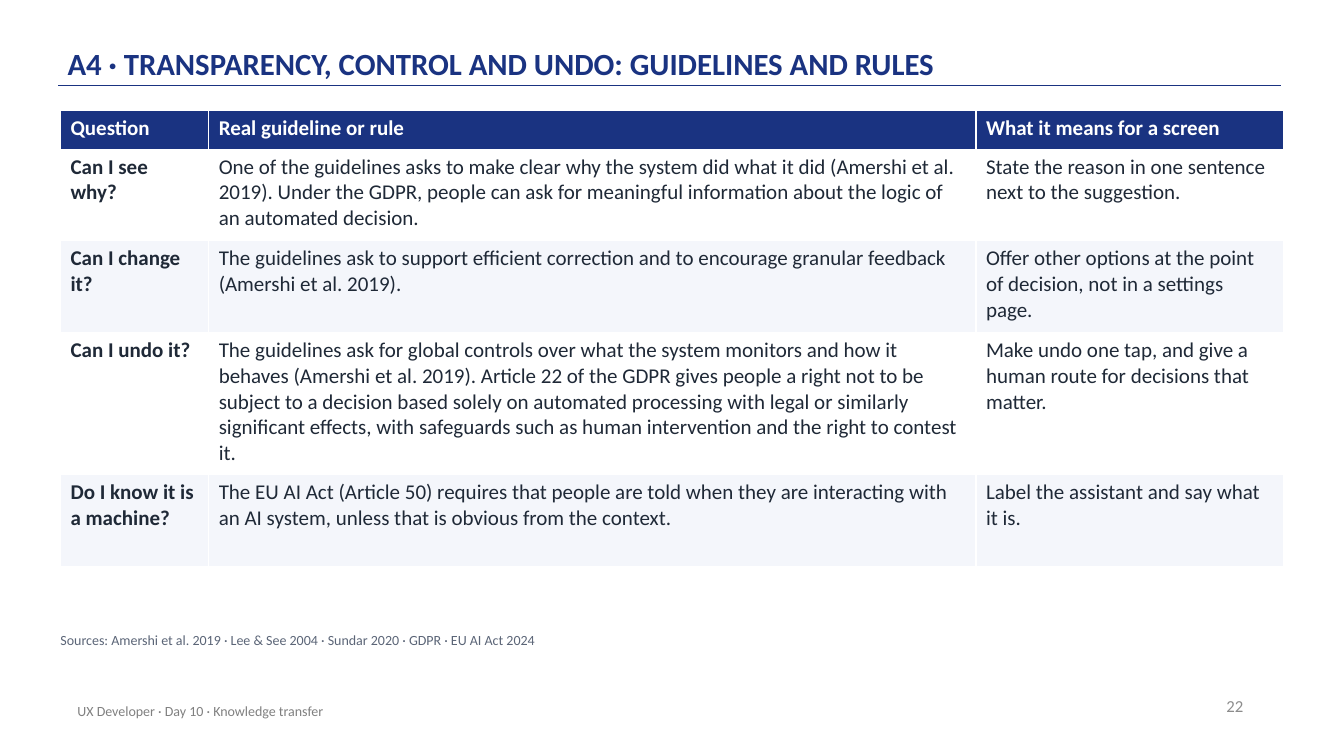
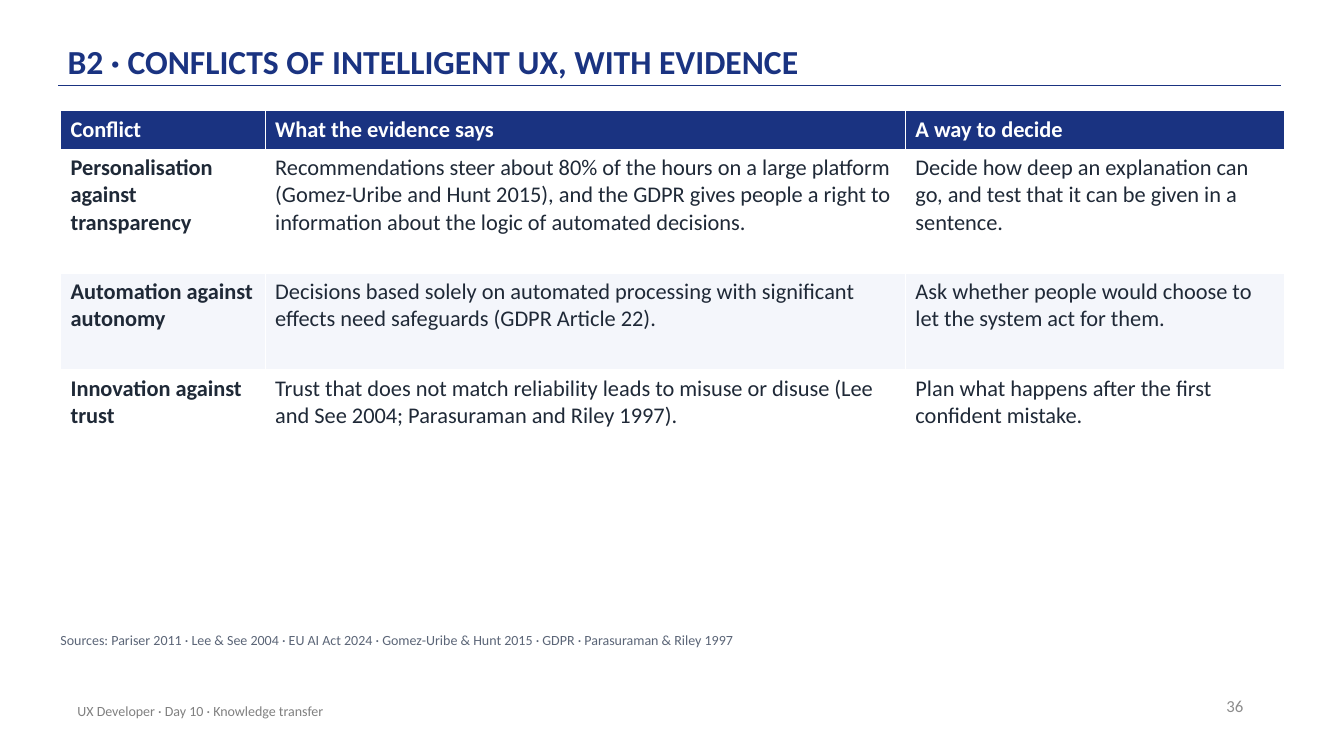
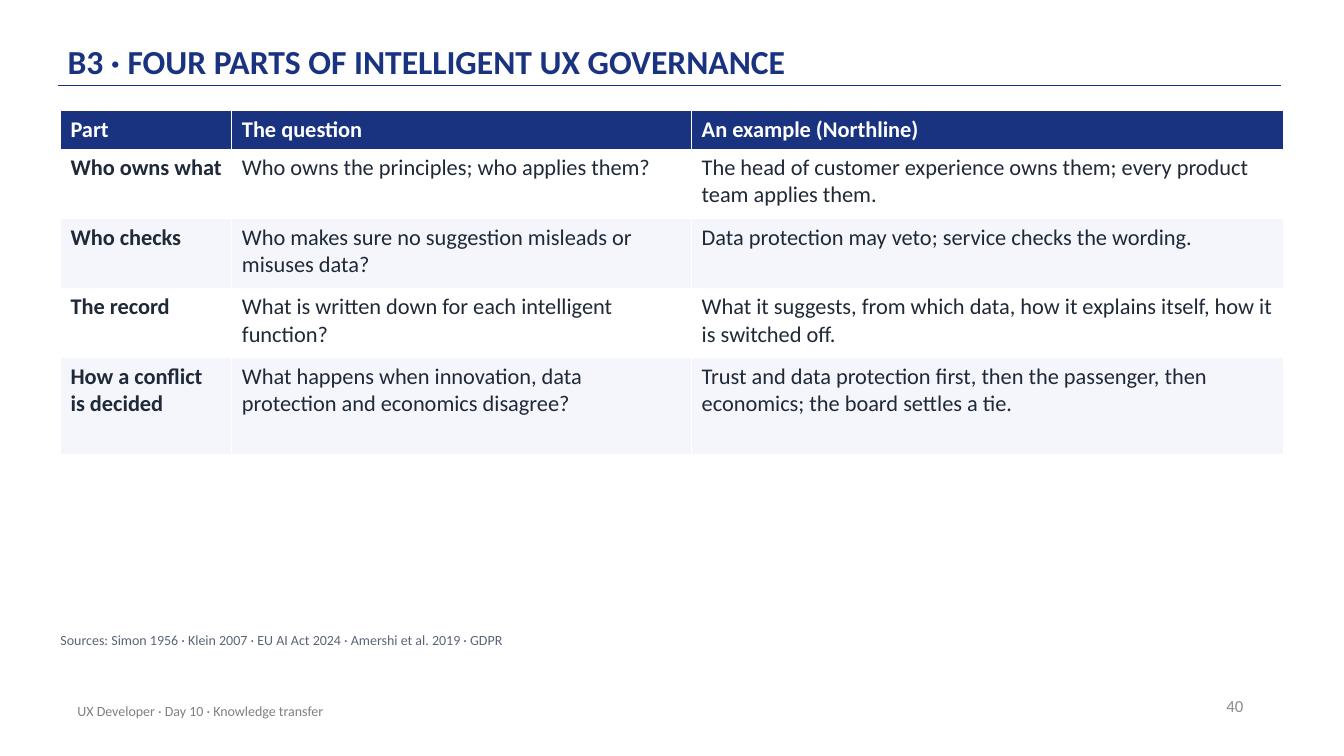
from lxml import etree
from pptx import Presentation
from pptx.dml.color import RGBColor
from pptx.enum import shapes, text
from pptx.oxml import ns
from pptx.util import Inches, Pt

FONT = "Calibri"
NAVY = RGBColor(0x1A, 0x33, 0x81)
INK = RGBColor(0x1F, 0x29, 0x37)
SLATE = RGBColor(0x5B, 0x65, 0x77)
FOOTER_GRAY = RGBColor(0x80, 0x80, 0x80)
NUMBER_GRAY = RGBColor(0x8C, 0x8C, 0x8C)
WHITE = RGBColor(0xFF, 0xFF, 0xFF)
BAND = RGBColor(0xF4, 0xF6, 0xFB)

FOOTER = "UX Developer · Day 10 · Knowledge transfer"
TABLE_LEFT, TABLE_TOP = 0.6, 1.1

SLIDES = [
    dict(
        title="A4 · TRANSPARENCY, CONTROL AND UNDO: GUIDELINES AND RULES",
        title_size=22,
        number=22,
        table_size=15,
        columns=[1.47, 7.61, 3.05],
        heights=[0.38, 0.91, 0.91, 1.41, 0.91],
        rows=[
            ("Question", "Real guideline or rule", "What it means for a screen"),
            ("Can I see why?",
             "One of the guidelines asks to make clear why the system did what it did "
             "(Amershi et al. 2019). Under the GDPR, people can ask for meaningful "
             "information about the logic of an automated decision.",
             "State the reason in one sentence next to the suggestion."),
            ("Can I change it?",
             "The guidelines ask to support efficient correction and to encourage "
             "granular feedback (Amershi et al. 2019).",
             "Offer other options at the point of decision, not in a settings page."),
            ("Can I undo it?",
             "The guidelines ask for global controls over what the system monitors and "
             "how it behaves (Amershi et al. 2019). Article 22 of the GDPR gives people "
             "a right not to be subject to a decision based solely on automated "
             "processing with legal or similarly significant effects, with safeguards "
             "such as human intervention and the right to contest it.",
             "Make undo one tap, and give a human route for decisions that matter."),
            ("Do I know it is a machine?",
             "The EU AI Act (Article 50) requires that people are told when they are "
             "interacting with an AI system, unless that is obvious from the context.",
             "Label the assistant and say what it is."),
        ],
        sources="Sources: Amershi et al. 2019 · Lee & See 2004 · Sundar 2020 · GDPR · "
                "EU AI Act 2024",
    ),
    dict(
        title="B2 · CONFLICTS OF INTELLIGENT UX, WITH EVIDENCE",
        title_size=24,
        number=36,
        table_size=16,
        columns=[2.03, 6.35, 3.76],
        heights=[0.38, 1.23, 0.96, 0.96],
        rows=[
            ("Conflict", "What the evidence says", "A way to decide"),
            ("Personalisation against transparency",
             "Recommendations steer about 80% of the hours on a large platform "
             "(Gomez-Uribe and Hunt 2015), and the GDPR gives people a right to "
             "information about the logic of automated decisions.",
             "Decide how deep an explanation can go, and test that it can be given in "
             "a sentence."),
            ("Automation against autonomy",
             "Decisions based solely on automated processing with significant effects "
             "need safeguards (GDPR Article 22).",
             "Ask whether people would choose to let the system act for them."),
            ("Innovation against trust",
             "Trust that does not match reliability leads to misuse or disuse (Lee and "
             "See 2004; Parasuraman and Riley 1997).",
             "Plan what happens after the first confident mistake."),
        ],
        sources="Sources: Pariser 2011 · Lee & See 2004 · EU AI Act 2024 · "
                "Gomez-Uribe & Hunt 2015 · GDPR · Parasuraman & Riley 1997",
    ),
    dict(
        title="B3 · FOUR PARTS OF INTELLIGENT UX GOVERNANCE",
        title_size=24,
        number=40,
        table_size=16,
        columns=[1.7, 4.56, 5.87],
        heights=[0.38, 0.69, 0.69, 0.69, 0.96],
        rows=[
            ("Part", "The question", "An example (Northline)"),
            ("Who owns what",
             "Who owns the principles; who applies them?",
             "The head of customer experience owns them; every product team applies "
             "them."),
            ("Who checks",
             "Who makes sure no suggestion misleads or misuses data?",
             "Data protection may veto; service checks the wording."),
            ("The record",
             "What is written down for each intelligent function?",
             "What it suggests, from which data, how it explains itself, how it is "
             "switched off."),
            ("How a conflict is decided",
             "What happens when innovation, data protection and economics disagree?",
             "Trust and data protection first, then the passenger, then economics; the "
             "board settles a tie."),
        ],
        sources="Sources: Simon 1956 · Klein 2007 · EU AI Act 2024 · "
                "Amershi et al. 2019 · GDPR",
    ),
]


def write(frame, words, *, size, color, bold=False, align=None, spacing=None, after=None):
    paragraph = frame.paragraphs[0]
    paragraph.alignment = align
    paragraph.line_spacing = spacing
    paragraph.space_after = after
    run = paragraph.add_run()
    run.text = words
    run.font.name = FONT
    run.font.size = Pt(size)
    run.font.bold = bold
    run.font.color.rgb = color


def add_text(slide, box, words, *, anchor=text.MSO_ANCHOR.MIDDLE, insets=(0.1, 0.05),
             **style):
    """Add a text box; insets are (left and right, top and bottom) in inches."""
    frame = slide.shapes.add_textbox(*map(Inches, box)).text_frame
    frame.word_wrap = True
    frame.vertical_anchor = anchor
    frame.margin_left = frame.margin_right = Inches(insets[0])
    frame.margin_top = frame.margin_bottom = Inches(insets[1])
    write(frame, words, **style)


def add_title_rule(slide):
    rule = slide.shapes.add_connector(
        shapes.MSO_CONNECTOR.STRAIGHT,
        Inches(0.58), Inches(0.85), Inches(12.71), Inches(0.85))
    rule.line.color.rgb = NAVY
    rule.line.width = Pt(1)
    etree.SubElement(rule._element.spPr, ns.qn("a:effectLst"))


def add_frame(slide, content):
    """Add the title, rule, page number, footer and sources that every slide has."""
    add_title_rule(slide)
    add_text(slide, (0.67, 0.12, 11, 0.72), content["title"],
             anchor=text.MSO_ANCHOR.BOTTOM, insets=(0, 0.03),
             size=content["title_size"], color=NAVY, bold=True, spacing=0.9)
    add_text(slide, (9.43, 6.8, 3, 0.4), str(content["number"]),
             size=12, color=NUMBER_GRAY, align=text.PP_ALIGN.RIGHT)
    add_text(slide, (0.67, 6.85, 6.7, 0.4), FOOTER, size=10, color=FOOTER_GRAY)
    add_text(slide, (TABLE_LEFT, 6.27, 12.1, 0.3), content["sources"],
             anchor=text.MSO_ANCHOR.TOP, insets=(0, 0),
             size=10, color=SLATE, after=Pt(6))


def add_grid(slide, content):
    rows, columns, heights = content["rows"], content["columns"], content["heights"]
    table = slide.shapes.add_table(
        len(rows), len(columns), Inches(TABLE_LEFT), Inches(TABLE_TOP),
        Inches(sum(columns)), Inches(sum(heights))).table
    table.horz_banding = False
    for column, width in zip(table.columns, columns):
        column.width = Inches(width)
    for row_index, (row, height) in enumerate(zip(rows, heights)):
        table.rows[row_index].height = Inches(height)
        header = row_index == 0
        fill = NAVY if header else WHITE if row_index % 2 else BAND
        for column_index, words in enumerate(row):
            cell = table.cell(row_index, column_index)
            cell.fill.solid()
            cell.fill.fore_color.rgb = fill
            write(cell.text_frame, words, size=content["table_size"],
                  color=WHITE if header else INK,
                  bold=header or column_index == 0)


def main():
    presentation = Presentation()
    presentation.slide_width = Inches(13.33)
    presentation.slide_height = Inches(7.5)
    blank = presentation.slide_layouts[6]
    for content in SLIDES:
        slide = presentation.slides.add_slide(blank)
        add_frame(slide, content)
        add_grid(slide, content)
    presentation.save("out.pptx")


if __name__ == "__main__":
    main()
